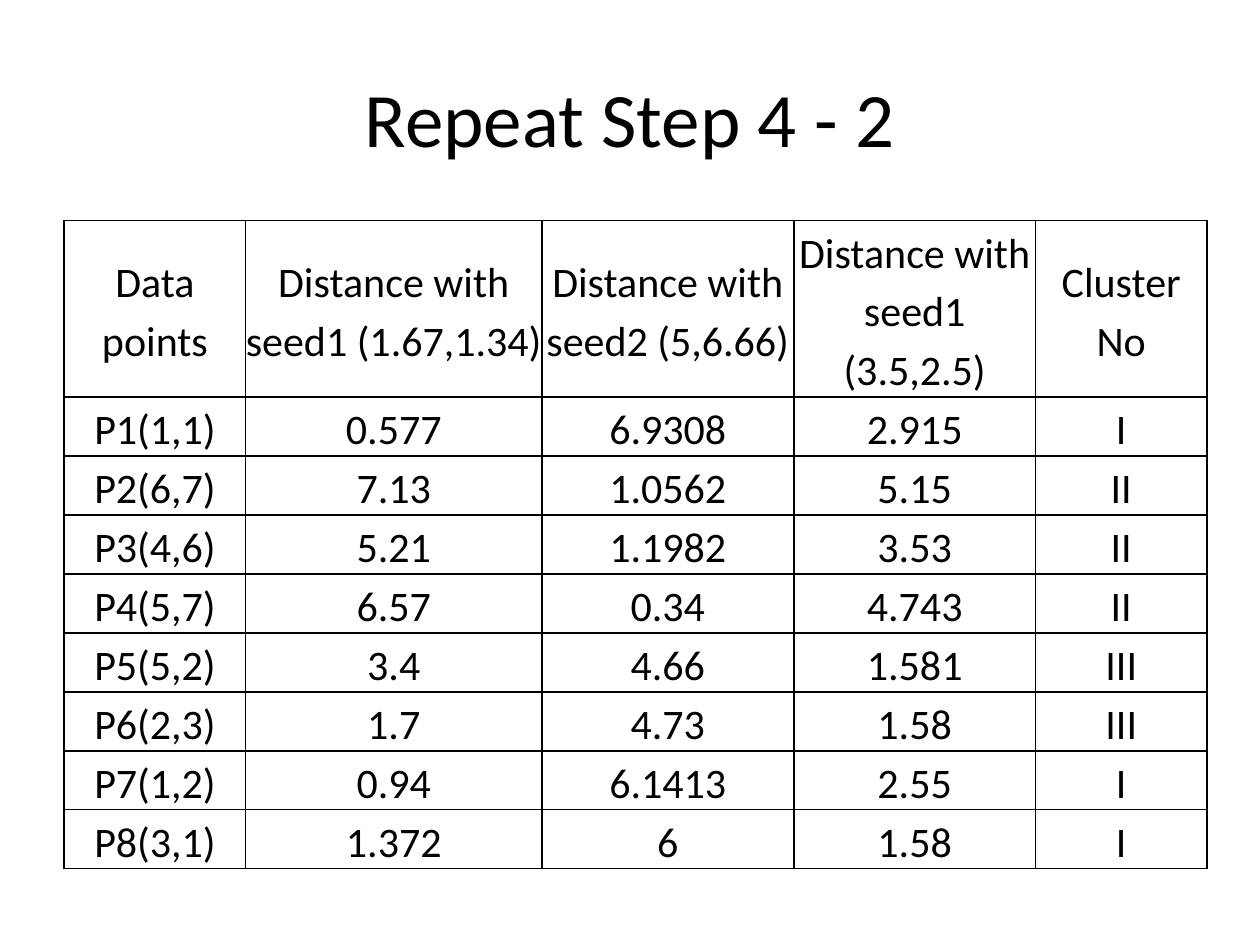
from dataclasses import dataclass

import pptx
import pptx.dml.color
import pptx.enum.text
import pptx.oxml
import pptx.oxml.ns
import pptx.util

Pt = pptx.util.Pt
CENTER = pptx.enum.text.PP_ALIGN.CENTER
MIDDLE = pptx.enum.text.MSO_ANCHOR.MIDDLE


@dataclass(frozen=True)
class Theme:
    font: str = "Calibri"
    ink: str = "000000"
    title_size: float = 44
    table_size: float = 24
    line_spacing: float = 1.15
    border_width: float = 1


THEME = Theme()

TITLE_BOX = (36, 21.6, 648, 90)
TABLE_BOX = (36.72, 126, 653, 347)
COLUMN_WIDTHS = (103.7, 169.2, 144, 138.2, 97.9)
HEADER_HEIGHT = 91

ROWS = [
    ("Data points", "Distance with seed1 (1.67,1.34)", "Distance with seed2 (5,6.66)",
     "Distance with seed1 (3.5,2.5)", "Cluster\nNo"),
    ("P1(1,1)", "0.577", "6.9308", "2.915", "I"),
    ("P2(6,7)", "7.13", "1.0562", "5.15", "II"),
    ("P3(4,6)", "5.21", "1.1982", "3.53", "II"),
    ("P4(5,7)", "6.57", "0.34", "4.743", "II"),
    ("P5(5,2)", "3.4", "4.66", "1.581", "III"),
    ("P6(2,3)", "1.7", "4.73", "1.58", "III"),
    ("P7(1,2)", "0.94", "6.1413", "2.55", "I"),
    ("P8(3,1)", "1.372", "6", "1.58", "I"),
]


def format_text(text_frame, size, line_spacing=None):
    for paragraph in text_frame.paragraphs:
        paragraph.alignment = CENTER
        paragraph.line_spacing = line_spacing
        for run in paragraph.runs:
            run.font.name = THEME.font
            run.font.size = Pt(size)
            run.font.color.rgb = pptx.dml.color.RGBColor.from_string(THEME.ink)


def add_borders(cell):
    properties = cell._tc.get_or_add_tcPr()
    for position, side in enumerate(("lnL", "lnR", "lnT", "lnB")):
        line = pptx.oxml.parse_xml(
            f'<a:{side} {pptx.oxml.ns.nsdecls("a")} w="{Pt(THEME.border_width)}">'
            f'<a:solidFill><a:srgbClr val="{THEME.ink}"/></a:solidFill></a:{side}>'
        )
        properties.insert(position, line)


def place_title(slide, box, text):
    title = slide.shapes.title
    title.left, title.top, title.width, title.height = map(Pt, box)
    title.text_frame.text = text
    title.text_frame.vertical_anchor = MIDDLE
    format_text(title.text_frame, THEME.title_size)


def format_cell(cell, text):
    cell.text_frame.text = text
    cell.vertical_anchor = MIDDLE
    cell.margin_left = cell.margin_right = cell.margin_top = cell.margin_bottom = 0
    cell.fill.background()
    format_text(cell.text_frame, THEME.table_size, THEME.line_spacing)
    add_borders(cell)


def place_distance_table(slide, box, rows):
    frame = slide.shapes.add_table(len(rows), len(rows[0]), *map(Pt, box))
    table = frame.table
    table.first_row = table.horz_banding = False
    for column, width in zip(table.columns, COLUMN_WIDTHS):
        column.width = Pt(width)
    body_height = (box[3] - HEADER_HEIGHT) / (len(rows) - 1)
    for index, (row, texts) in enumerate(zip(table.rows, rows)):
        row.height = Pt(body_height if index else HEADER_HEIGHT)
        for cell, text in zip(row.cells, texts):
            format_cell(cell, text)


def main():
    presentation = pptx.Presentation()
    presentation.slide_width, presentation.slide_height = Pt(720), Pt(540)
    slide = presentation.slides.add_slide(presentation.slide_layouts.get_by_name("Title Only"))
    place_title(slide, TITLE_BOX, "Repeat Step 4 - 2")
    place_distance_table(slide, TABLE_BOX, ROWS)
    presentation.save("out.pptx")


if __name__ == "__main__":
    main()
